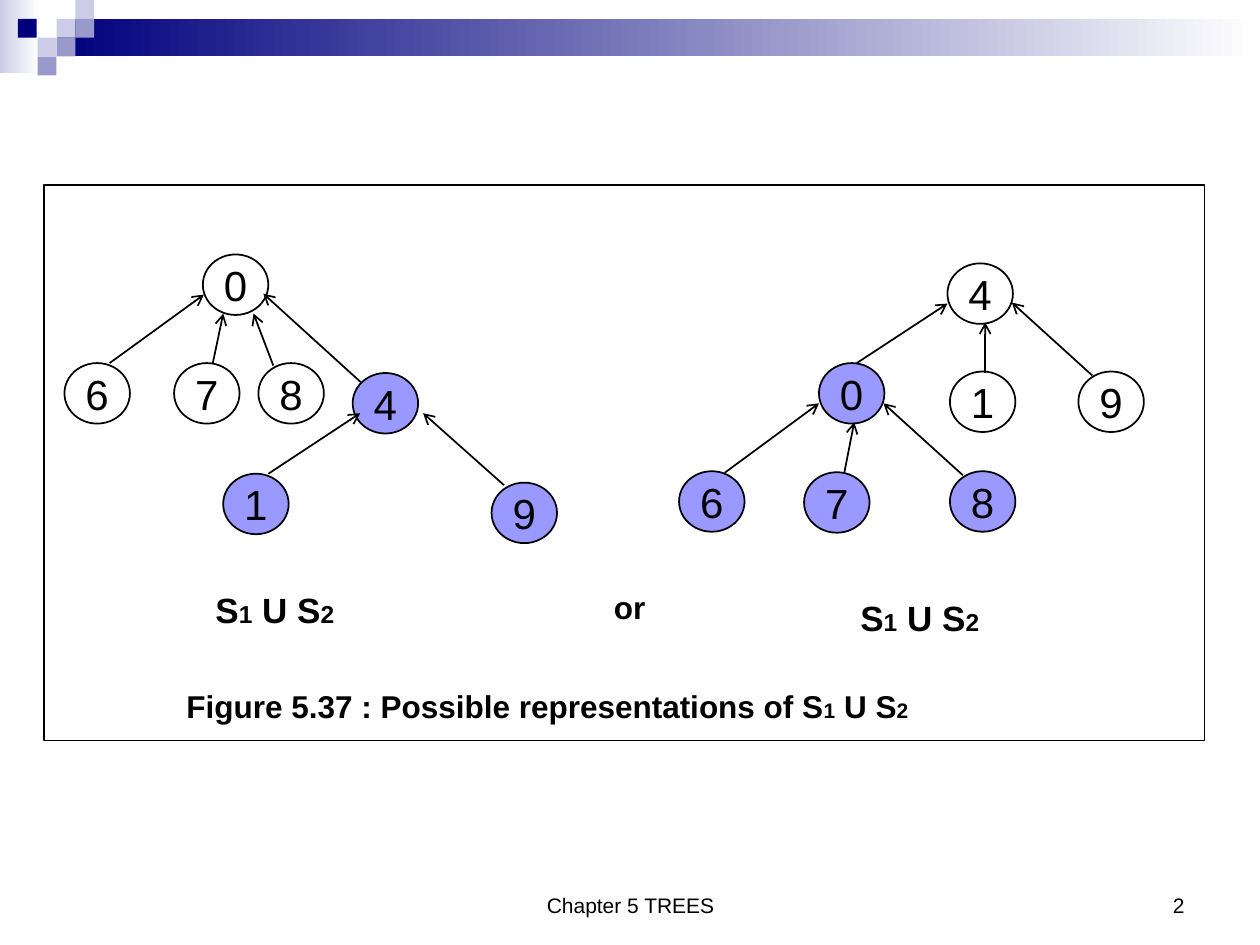
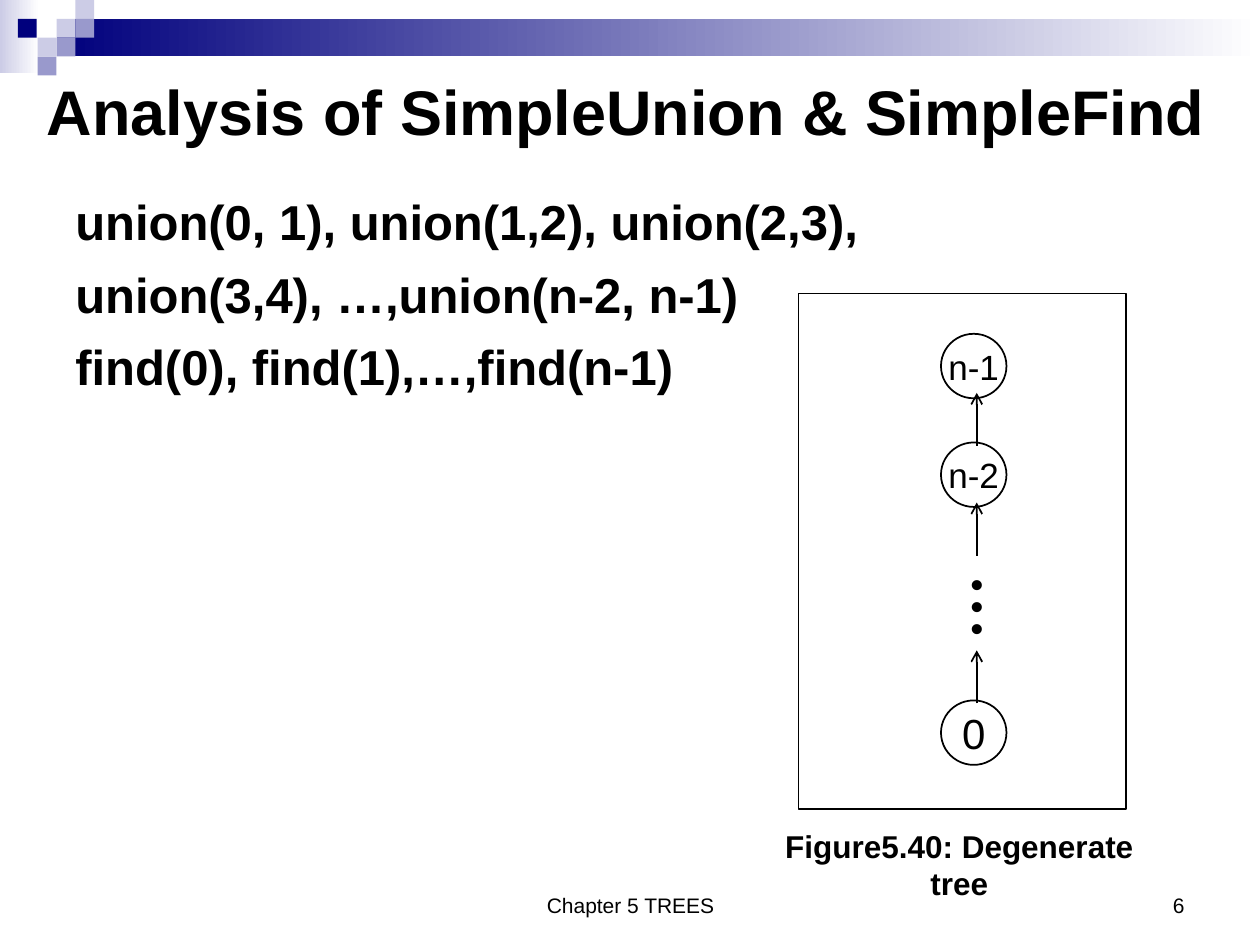
from dataclasses import dataclass

from lxml.etree import SubElement
from pptx import Presentation
from pptx.dml.color import RGBColor
from pptx.enum.shapes import MSO_CONNECTOR, MSO_SHAPE
from pptx.enum.text import MSO_ANCHOR, PP_ALIGN
from pptx.oxml.ns import qn
from pptx.shapes.autoshape import Shape
from pptx.slide import Slide
from pptx.text.text import TextFrame
from pptx.util import Cm, Pt

FONT = "Arial"
COLORS = {
    "ink": "000000",
    "paper": "FFFFFF",
    "navy": "00007D",
    "pale": "CCCCE6",
    "mid": "9999CC",
    "set": "9999FF",
}
TILE = 0.38
UNION = "S|1| U S|2"


@dataclass
class Box:
    x: float
    y: float
    w: float
    h: float


@dataclass
class Node:
    text: str
    x: float
    y: float
    fill: str = "paper"
    size: int = 24
    h: float = 1.22


@dataclass
class Arrow:
    x1: float
    y1: float
    x2: float
    y2: float


@dataclass
class Label:
    text: str
    box: Box
    size: int
    small: int = 0
    bold: bool = True
    align: PP_ALIGN = PP_ALIGN.LEFT
    anchor: MSO_ANCHOR = MSO_ANCHOR.TOP
    wrap: bool = True
    gap: int = 0


TILES = [
    (1.14, 0.38, "navy"),
    (1.14, 0.38, "pale"),
    (1.52, 0, "pale"),
    (1.52, 0.38, "mid"),
    (0.76, 0.76, "pale"),
    (0.36, 0.38, "navy"),
    (1.14, 0.76, "mid"),
    (0.76, 1.14, "mid"),
][1:]

NODES = [
    Node("0", 4.09, 5.13),
    Node("6", 1.3, 7.32),
    Node("7", 3.51, 7.32),
    Node("8", 5.21, 7.32),
    Node("4", 7.11, 7.52, "set"),
    Node("1", 4.5, 9.55, "set"),
    Node("9", 9.91, 9.73, "set"),
    Node("4", 19.1, 5.31),
    Node("0", 16.51, 7.32, "set"),
    Node("1", 19.15, 7.49),
    Node("9", 21.74, 7.49),
    Node("6", 13.69, 9.5, "set"),
    Node("7", 16.21, 9.52, "set"),
    Node("8", 19.15, 9.5, "set"),
]
ARROWS = [
    Arrow(2.21, 7.32, 4.11, 5.94),
    Arrow(4.29, 7.32, 4.5, 6.32),
    Arrow(5.51, 7.37, 5.11, 6.32),
    Arrow(7.29, 7.72, 5.31, 5.92),
    Arrow(5.41, 9.55, 7.26, 8.33),
    Arrow(10.16, 9.78, 8.53, 8.33),
    Arrow(17.27, 7.32, 19.1, 6.12),
    Arrow(19.86, 7.52, 19.86, 6.5),
    Arrow(22.02, 7.57, 20.4, 6.1),
    Arrow(14.61, 9.53, 16.51, 8.13),
    Arrow(17.02, 9.53, 17.22, 8.51),
    Arrow(19.41, 9.58, 17.81, 8.13),
]
LABELS = [
    Label("or", Box(12.12, 11.73, 1.14, 1.02), 18, align=PP_ALIGN.RIGHT, wrap=False),
    Label(UNION, Box(4.09, 11.73, 2.9, 1.12), 20, 14, align=PP_ALIGN.RIGHT, wrap=False),
    Label(UNION, Box(17.09, 11.91, 2.9, 1.12), 20, 14, align=PP_ALIGN.RIGHT, wrap=False),
    Label(f"Figure 5.37 : Possible representations of {UNION}",
          Box(3.51, 13.72, 16.41, 1.02), 18, 12),
]
CHAIN = [
    Node("n-1", 18.97, 6.73, size=20, h=1.3),
    Node("n-2", 18.97, 8.92, size=20, h=1.3),
    Node("0", 18.97, 14.12, h=1.3),
]
CALLS = "\n".join([
    "union(0, 1), union(1,2), union(2,3),",
    "union(3,4), …,union(n-2, n-1)",
    "find(0), find(1),…,find(n-1)",
])


def color(name: str) -> RGBColor:
    return RGBColor.from_string(COLORS[name])


def style(frame: TextFrame, size: int, small: int = 0, bold: bool = False,
          align: PP_ALIGN = PP_ALIGN.CENTER) -> None:
    for para in frame.paragraphs:
        para.alignment = align
        for i, run in enumerate(para.runs):
            run.font.name = FONT
            run.font.size = Pt(small if i % 2 else size)
            run.font.bold = bold
            run.font.color.rgb = color("ink")


def add_box(slide: Slide, kind: MSO_SHAPE, box: Box, fill: str = "", line: float = 0) -> Shape:
    shape = slide.shapes.add_shape(kind, Cm(box.x), Cm(box.y), Cm(box.w), Cm(box.h))
    shape.shadow.inherit = False
    if fill:
        shape.fill.solid()
        shape.fill.fore_color.rgb = color(fill)
    else:
        shape.fill.background()
    if line:
        shape.line.color.rgb = color("ink")
        shape.line.width = Pt(line)
    else:
        shape.line.fill.background()
    return shape


def add_fade(slide: Slide, box: Box, name: str) -> Shape:
    shape = add_box(slide, MSO_SHAPE.RECTANGLE, box)
    shape.fill.gradient()
    shape.fill.gradient_angle = 180
    for stop, place, hue in zip(shape.fill.gradient_stops, (0, 1), ("paper", name)):
        stop.position = place
        stop.color.rgb = color(hue)
    return shape


def add_node(slide: Slide, node: Node) -> None:
    shape = add_box(slide, MSO_SHAPE.OVAL, Box(node.x, node.y, 1.32, node.h), node.fill, 1)
    frame = shape.text_frame
    frame.text = node.text
    frame.word_wrap = False
    frame.vertical_anchor = MSO_ANCHOR.MIDDLE
    style(frame, node.size)


def add_arrow(slide: Slide, arrow: Arrow) -> None:
    line = slide.shapes.add_connector(
        MSO_CONNECTOR.STRAIGHT, Cm(arrow.x1), Cm(arrow.y1), Cm(arrow.x2), Cm(arrow.y2))
    line.line.color.rgb = color("ink")
    line.line.width = Pt(1)
    props = line.element.spPr
    SubElement(props.find(qn("a:ln")), qn("a:tailEnd"), type="arrow")
    SubElement(props, qn("a:effectLst"))


def add_label(slide: Slide, label: Label) -> Shape:
    box = label.box
    shape = slide.shapes.add_textbox(Cm(box.x), Cm(box.y), Cm(box.w), Cm(box.h))
    frame = shape.text_frame
    frame.word_wrap = label.wrap
    frame.vertical_anchor = label.anchor
    first, *rest = label.text.split("|")
    frame.text = first
    for part in rest:
        frame.paragraphs[0].add_run().text = part
    for para in frame.paragraphs:
        para.space_before = Pt(label.gap)
    style(frame, label.size, label.small, label.bold, label.align)
    return shape


def add_foot(slide: Slide, page: str) -> None:
    for text, x, w, align in (("Chapter 5 TREES", 8.69, 8.05, PP_ALIGN.CENTER),
                              (page, 18.21, 5.92, PP_ALIGN.RIGHT)):
        add_label(slide, Label(text, Box(x, 17.35, w, 1.27), 12, bold=False,
                               align=align, anchor=MSO_ANCHOR.BOTTOM))


def add_band(deck: Presentation, slide: Slide) -> None:
    band = [add_fade(slide, Box(0, 0, 0.79, 1.47), "pale"),
            add_fade(slide, Box(1.14, 0.38, 24.26, 0.76), "navy")]
    for x, y, fill in TILES:
        band.append(add_box(slide, MSO_SHAPE.RECTANGLE, Box(x, y, TILE, TILE), fill))
    tree = deck.slide_master.shapes.element
    for i, shape in enumerate(band):
        shape.element.nvSpPr.cNvPr.set("id", str(100 + i))
        tree.insert(2 + i, shape.element)


def draw_union(slide: Slide) -> None:
    add_box(slide, MSO_SHAPE.RECTANGLE, Box(0.89, 3.73, 23.39, 11.2), line=0.75)
    for node in NODES:
        add_node(slide, node)
    for arrow in ARROWS:
        add_arrow(slide, arrow)
    for label in LABELS:
        add_label(slide, label)
    add_foot(slide, "2")


def draw_chain(slide: Slide) -> None:
    title = slide.shapes.title
    title.left, title.top, title.width, title.height = Cm(0.69), Cm(1.12), Cm(24.13), Cm(2.21)
    title.text_frame.text = "Analysis of SimpleUnion & SimpleFind"
    title.text_frame.vertical_anchor = MSO_ANCHOR.MIDDLE
    style(title.text_frame, 36, bold=True, align=PP_ALIGN.LEFT)
    add_label(slide, Label(CALLS, Box(1.27, 3.73, 22.86, 14.2), 28, gap=8))
    add_box(slide, MSO_SHAPE.RECTANGLE, Box(16.1, 5.92, 6.6, 10.39), line=0.75)
    for node in CHAIN:
        add_node(slide, node)
    for top in (7.92, 10.13, 13.11):
        add_arrow(slide, Arrow(19.69, top + 1.07, 19.69, top))
    add_label(slide, Label("Figure5.40: Degenerate tree", Box(14.91, 16.54, 8.86, 1.02), 18,
                           align=PP_ALIGN.CENTER, wrap=False))
    dots = add_label(slide, Label("• • •", Box(18.95, 11.43, 1.35, 1.4), 20,
                                  align=PP_ALIGN.CENTER, wrap=False))
    frame = dots.text_frame
    frame.margin_left = frame.margin_right = Cm(0.13)
    frame.margin_top = frame.margin_bottom = Cm(0.25)
    dots.element.txBody.find(qn("a:bodyPr")).set("vert", "eaVert")
    add_foot(slide, "6")


def main() -> None:
    deck = Presentation()
    deck.slide_width, deck.slide_height = Cm(25.4), Cm(19.05)
    union = deck.slides.add_slide(deck.slide_layouts[6])
    add_band(deck, union)
    draw_union(union)
    draw_chain(deck.slides.add_slide(deck.slide_layouts[5]))
    deck.save("out.pptx")


if __name__ == "__main__":
    main()
